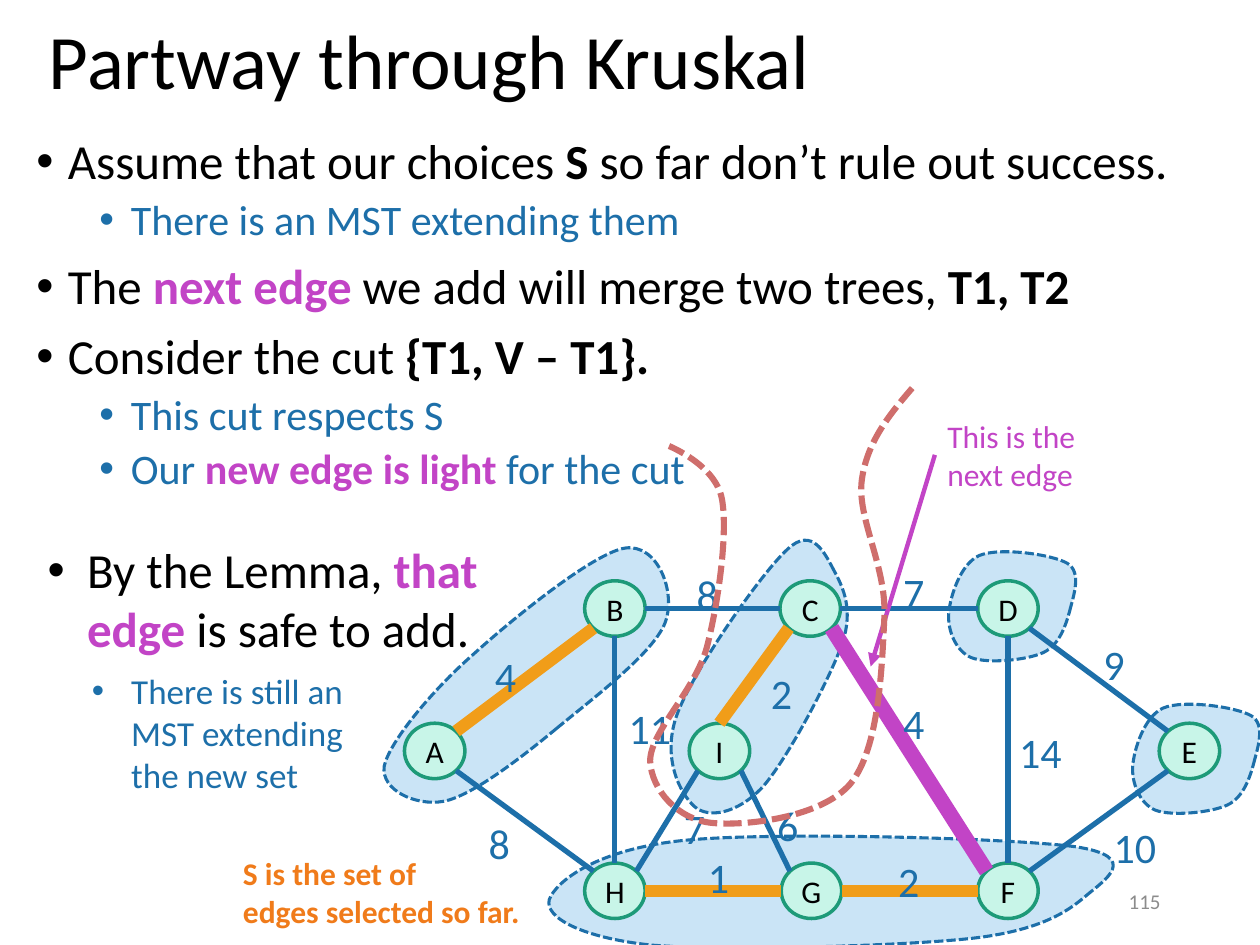
from typing import NamedTuple

from lxml.etree import SubElement
from pptx import Presentation
from pptx.dml.color import RGBColor
from pptx.enum.dml import MSO_LINE
from pptx.enum.shapes import MSO_CONNECTOR, MSO_SHAPE
from pptx.enum.text import MSO_ANCHOR, PP_ALIGN
from pptx.oxml.ns import qn
from pptx.util import Inches, Pt

BLACK = RGBColor(0x00, 0x00, 0x00)
BLUE = RGBColor(0x1D, 0x6F, 0xA9)
SKY = RGBColor(0xCA, 0xE4, 0xF6)
MINT = RGBColor(0xC8, 0xF5, 0xE8)
GREEN = RGBColor(0x1D, 0x9A, 0x78)
PINK = RGBColor(0xC2, 0x44, 0xC6)
AMBER = RGBColor(0xF1, 0x9D, 0x19)
ORANGE = RGBColor(0xF0, 0x7B, 0x1A)
RED = RGBColor(0xCF, 0x6E, 0x6C)
GRAY = RGBColor(0x8C, 0x8C, 0x8C)

deck = Presentation()
deck.slide_width, deck.slide_height = Inches(10), Inches(7.5)
COLS = 100
CELL = deck.slide_width / COLS
shapes = deck.slides.add_slide(deck.slide_layouts[6]).shapes


class Span(NamedTuple):
    text: str
    color: RGBColor = BLACK
    bold: bool = False


class Para(NamedTuple):
    spans: list[Span]
    size: float
    left: float = 0
    hang: float = 0
    before: float = 0
    line: float = 1.0
    align: PP_ALIGN = PP_ALIGN.LEFT


class Edge(NamedTuple):
    start: str
    side: str
    end: str
    dock: str
    color: RGBColor = BLUE
    width: float = 3


class Label(NamedTuple):
    text: str
    col: float
    row: float


class Curve(NamedTuple):
    start: tuple[float, float]
    bends: list[tuple[float, ...]]
    shift: tuple[float, float] = (0, 0)


def grid(*cells: float) -> list[int]:
    return [round(cell * CELL) for cell in cells]


def write(frame, paras: list[Para]) -> None:
    for num, item in enumerate(paras):
        para = frame.paragraphs[0] if num == 0 else frame.add_paragraph()
        para.alignment, para.line_spacing = item.align, item.line
        para.space_before = Pt(item.before if num else 0)
        if item.hang:
            props = para._p.get_or_add_pPr()
            left, hang = grid(item.left, item.hang)
            props.set("marL", str(left))
            props.set("indent", str(-hang))
            SubElement(props, qn("a:buFont")).set("typeface", "Arial")
            SubElement(props, qn("a:buChar")).set("char", "•")
        for span in item.spans:
            run = para.add_run()
            run.text = span.text
            font = run.font
            font.name, font.size, font.bold = "Calibri", Pt(item.size), span.bold
            font.color.rgb = span.color


def add_text(col: float, row: float, wide: float, high: float,
             paras: list[Para], anchor=MSO_ANCHOR.TOP) -> None:
    frame = shapes.add_textbox(*grid(col, row, wide, high)).text_frame
    frame.word_wrap, frame.vertical_anchor = True, anchor
    write(frame, paras)


def add_curve(curve: Curve, color: RGBColor, width: float, fill=None) -> None:
    def place(x: float, y: float) -> list[int]:
        return grid(x + curve.shift[0], y + curve.shift[1])

    pen = shapes.build_freeform(*place(*curve.start))
    pen.add_line_segments([place(*bend[4:]) for bend in curve.bends], close=fill is not None)
    shape = pen.convert_to_shape()
    for leg, bend in zip(list(shape._element.iter(qn("a:lnTo"))), curve.bends):
        leg.tag = qn("a:cubicBezTo")
        leg.remove(leg[0])
        for knot in (bend[:2], bend[2:4], bend[4:]):
            x, y = place(*knot)
            dot = SubElement(leg, qn("a:pt"))
            dot.set("x", str(x - shape.left))
            dot.set("y", str(y - shape.top))
    shape.shadow.inherit = False
    if fill is None:
        shape.fill.background()
    else:
        shape.fill.solid()
        shape.fill.fore_color.rgb = fill
    shape.line.color.rgb, shape.line.width = color, Pt(width)
    shape.line.dash_style = MSO_LINE.SQUARE_DOT


def add_line(start: tuple, end: tuple, color: RGBColor, width: float, head=False) -> None:
    link = shapes.add_connector(MSO_CONNECTOR.STRAIGHT, *grid(*start, *end))
    link.line.color.rgb, link.line.width = color, Pt(width)
    if head:
        SubElement(link.line._get_or_add_ln(), qn("a:tailEnd")).set("type", "triangle")
    SubElement(link._element.spPr, qn("a:effectLst"))


WIDE, HIGH = 4.8, 4.4
TOP, MID, LOW = 48.3, 59.6, 70.7
NODES = {"D": (80, TOP), "C": (64.3, TOP), "B": (48.8, TOP), "A": (34.5, MID), "H": (48.8, LOW),
         "G": (64.4, LOW), "F": (80, LOW), "I": (57.1, MID), "E": (94.4, MID)}
SIDES = {"n": (0, -1), "s": (0, 1), "w": (-1, 0), "e": (1, 0),
         "nw": (-0.71, -0.71), "ne": (0.71, -0.71), "sw": (-0.71, 0.71), "se": (0.71, 0.71)}


def add_node(name: str) -> None:
    x, y = NODES[name]
    node = shapes.add_shape(MSO_SHAPE.OVAL, *grid(x - WIDE / 2, y - HIGH / 2, WIDE, HIGH))
    node.shadow.inherit = False
    node.fill.solid()
    node.fill.fore_color.rgb = MINT
    node.line.color.rgb, node.line.width = GREEN, Pt(2)
    frame = node.text_frame
    frame.margin_left = frame.margin_right = frame.margin_top = frame.margin_bottom = 0
    frame.word_wrap, frame.vertical_anchor = False, MSO_ANCHOR.MIDDLE
    write(frame, [Para([Span(name)], 18, align=PP_ALIGN.CENTER)])


def dock(name: str, side: str) -> tuple[float, float]:
    (x, y), (dx, dy) = NODES[name], SIDES[side]
    return x + dx * WIDE / 2, y + dy * HIGH / 2


def point(*spans: Span) -> Para:
    return Para(list(spans), 28, 2.5, 2.5, 10, 0.9)


def sub(*spans: Span) -> Para:
    return Para(list(spans), 24, 7.5, 2.5, 5, 0.9)


add_text(2.9, -2.1, 97.8, 14.5, [Para([Span("Partway through Kruskal")], 44, line=0.9)], MSO_ANCHOR.MIDDLE)
add_text(1.9, 10.4, 93.4, 47.6, [
    point(Span("Assume that our choices "), Span("S", bold=True), Span(" so far don’t rule out success.")),
    sub(Span("There is an MST extending them", BLUE)),
    point(Span("The "), Span("next edge ", PINK, True), Span("we add will merge two trees, "),
          Span("T1, T2", bold=True)),
    point(Span("Consider the cut "), Span("{T1, V – T1}.", bold=True)),
    sub(Span("This cut respects S", BLUE)),
    sub(Span("Our ", BLUE), Span("new edge is light ", PINK, True), Span("for the cut", BLUE)),
])

BLOB = [(99.8, 59.4, 100.5, 57.5, 99.3, 56.8), (98.1, 56.1, 93.9, 55.5, 92.3, 56.2),
        (90.8, 56.9, 90, 59.5, 89.9, 60.8), (89.8, 62.2, 90.5, 63.8, 91.7, 64.3),
        (93, 64.8, 96.1, 64.5, 97.4, 63.9), (98.7, 63.3, 99.2, 61.7, 99.5, 60.6)]
TREES = [
    Curve((99.5, 60.6), BLOB),
    Curve((99.5, 60.6), BLOB, (-14.6, -12.1)),
    Curve((66.2, 45.3), [(65.5, 44, 64.5, 41.7, 62.5, 43.6), (60.4, 45.5, 54.9, 53.4, 53.7, 56.8),
                         (52.5, 60.2, 54, 63, 55.1, 64), (56.2, 65, 58.5, 64.6, 60.5, 62.5),
                         (62.4, 60.4, 65.8, 54, 66.8, 51.2), (67.8, 48.4, 66.9, 46.6, 66.2, 45.3)]),
    Curve((44.2, 57.8), [(47.1, 55.4, 51.9, 51.8, 52.8, 49.4), (53.7, 47, 52.2, 43.1, 49.6, 43.5),
                         (47.1, 43.9, 40.7, 49.1, 37.5, 52), (34.3, 54.8, 30.9, 58.9, 30.5, 60.8),
                         (30.2, 62.7, 33, 64, 35.2, 63.6), (37.4, 63.2, 41.3, 60.2, 44.2, 57.8)]),
    Curve((86.2, 71.1), [(87.6, 69.9, 90.7, 68, 85.3, 67.2), (80, 66.5, 61.2, 66, 54.3, 66.7),
                         (47.3, 67.4, 44.1, 70, 43.6, 71.4), (43.2, 72.8, 46.1, 74.4, 51.6, 75),
                         (57.2, 75.5, 71.2, 75.1, 76.9, 74.5), (82.6, 73.9, 84.8, 72.3, 86.2, 71.1)]),
]
for tree in TREES:
    add_curve(tree, BLUE, 1.75, SKY)
for name in NODES:
    add_node(name)

EDGES = [
    Edge("C", "se", "F", "nw", PINK, 8.75), Edge("C", "e", "D", "w"), Edge("E", "nw", "D", "se"),
    Edge("E", "sw", "F", "ne"), Edge("D", "s", "F", "n"), Edge("I", "se", "G", "nw"),
    Edge("G", "e", "F", "w", AMBER, 7), Edge("I", "n", "C", "sw", AMBER, 7), Edge("B", "e", "C", "w"),
    Edge("A", "ne", "B", "sw", AMBER, 7), Edge("A", "se", "H", "nw"),
    Edge("G", "w", "H", "e", AMBER, 7), Edge("I", "sw", "H", "ne"), Edge("H", "n", "B", "s"),
]
for edge in EDGES:
    add_line(dock(edge.start, edge.side), dock(edge.end, edge.dock), edge.color, edge.width)

LABELS = [
    Label("7", 70.7, 44.5), Label("9", 86.6, 50.2), Label("10", 87.4, 64.7), Label("14", 79.9, 57.2),
    Label("4", 70.7, 54.9), Label("2", 70.3, 67.4), Label("2", 60.2, 52.5), Label("1", 55.2, 67.1),
    Label("7", 53.3, 63.2), Label("6", 60.7, 63), Label("8", 37.8, 64.4), Label("11", 48.9, 55.3),
    Label("8", 54.3, 44.6), Label("4", 38.3, 51.1),
]
for label in LABELS:
    add_text(label.col, label.row, 6.7, 3.6, [Para([Span(label.text, BLUE)], 24)])

add_text(18.3, 67.3, 25.1, 7.1, [Para([Span(text, ORANGE, True)], 18)
                                 for text in ("S is the set of", "edges selected so far.")])
add_text(74.2, 32.6, 14, 7.1, [Para([Span("This is the next edge", PINK)], 18)])
add_line((74.2, 36.1), (69.1, 52.9), PINK, 2.5, head=True)
CUT = Curve((72.4, 30.8), [(70.6, 32.9, 68.8, 35.1, 68.4, 38.1), (68, 41.1, 70.3, 44.8, 70.2, 48.8),
                           (70, 52.9, 69.8, 59.4, 67.5, 62.2), (65.2, 64.9, 59.1, 65.6, 56.4, 65.3),
                           (53.8, 65, 51.7, 62.7, 51.6, 60.4), (51.6, 58.1, 55.1, 54.9, 56.1, 51.4),
                           (57, 47.9, 57.8, 42.3, 57.3, 39.6), (56.8, 36.9, 53.1, 35.4, 53.1, 35.4)])
add_curve(CUT, RED, 3.5)
add_text(2.8, 42.35, 38, 10.4, [Para([Span("By the Lemma, "), Span("that edge ", PINK, True),
                                      Span("is safe to add.")], 28, 3.13, 3.13)])
add_text(6.3, 52.65, 22.9, 11.1, [Para([Span("There is still an MST extending the new set", BLUE)],
                                       20, 3.13, 3.13)])
add_text(70.6, 69.5, 22.5, 4, [Para([Span("115", GRAY)], 12, align=PP_ALIGN.RIGHT)], MSO_ANCHOR.MIDDLE)

deck.save("out.pptx")
